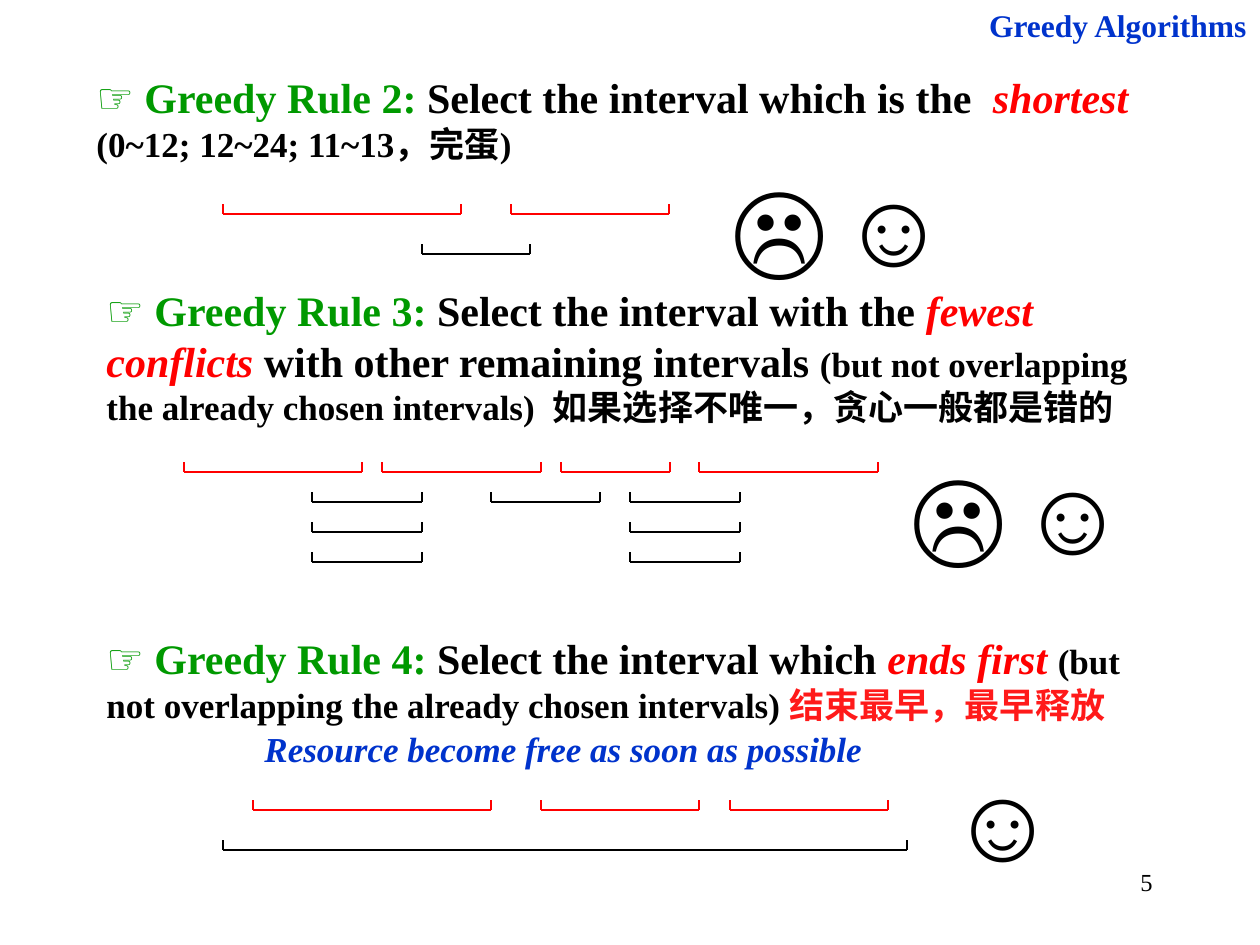
from lxml import etree
from pptx import Presentation
from pptx import util as u
from pptx.dml.color import RGBColor
from pptx.enum import shapes, text
from pptx.oxml.ns import qn

PX = u.Inches(1) / 126
COLORS = {"black": "000000", "red": "FF0000", "green": "009900",
          "blue": "0033CC", "bright red": "FF1A1A"}
SERIF = "Times New Roman"
TICK = 10  # height of the marks at both ends of an interval

# Run formats
BLACK = {"name": SERIF, "size": 24, "bold": True, "color": "black"}
GREEN = {**BLACK, "color": "green"}
HAND = {**GREEN, "name": "Arial"}
KEYWORD = {**BLACK, "color": "red", "italic": True}
SMALL = {**BLACK, "size": 20}
REMARK = {**SMALL, "color": "bright red"}
NOTE = {**SMALL, "color": "blue", "italic": True}
HEADER = {**BLACK, "size": 18, "color": "blue"}
NUMBER = {"name": SERIF, "size": 14, "color": "black"}
FACE = {"name": "Arial", "size": 60, "color": "black"}


def px(value):
    return u.Emu(round(value * PX))


def color(name):
    return RGBColor.from_string(COLORS[name])


def add_text(slide, box, runs, align=text.PP_ALIGN.LEFT,
             anchor=text.MSO_ANCHOR.TOP):
    shape = slide.shapes.add_textbox(*map(px, box))
    frame = shape.text_frame
    frame.word_wrap = True
    frame.auto_size = text.MSO_AUTO_SIZE.SHAPE_TO_FIT_TEXT
    frame.vertical_anchor = anchor
    paragraph = frame.paragraphs[0]
    paragraph.alignment = align
    for words, style in runs:
        run = paragraph.add_run()
        run.text = words
        for key, value in style.items():
            if key == "color":
                run.font.color.rgb = color(value)
            else:
                setattr(run.font, key, u.Pt(value) if key == "size" else value)


def add_line(group, start, end, line_color):
    line = group.shapes.add_connector(
        shapes.MSO_CONNECTOR.STRAIGHT, *map(px, (*start, *end)))
    line.line.color.rgb = color(line_color)
    line.line.width = u.Pt(1.5)
    etree.SubElement(line._element.spPr, qn("a:effectLst"))


def add_intervals(slide, left, top, pitch, rows):
    """Draw rows of intervals; the first row holds the red ones."""
    group = slide.shapes.add_group_shape()
    for index, row in enumerate(rows):
        line_color = "black" if index else "red"
        base = top + TICK + index * pitch
        for start, end in row:
            first, last = left + start, left + end
            add_line(group, (first, base), (last, base), line_color)
            for x in (first, last):
                add_line(group, (x, base), (x, base - TICK), line_color)


def add_rule(slide, box, number, runs, diagram, faces, note=None):
    """Place a rule's statement, its intervals and its verdict faces."""
    left, top, width, height = box
    # Statement
    add_text(slide, box,
             [("☞", HAND), (f" Greedy Rule {number}:", GREEN), *runs],
             anchor=text.MSO_ANCHOR.MIDDLE)
    # Note below the statement, wide enough for one line
    if note:
        add_text(slide, (left + 158, top + 95, 650, 55), [(note, NOTE)])
    # Intervals
    x, y, pitch, rows = diagram
    add_intervals(slide, left + x, top + y, pitch, rows)
    # Faces
    x, y, symbols = faces
    for index, symbol in enumerate(symbols):
        add_text(slide, (left + x + index * 109, top + y, 139, 139),
                 [(symbol, FACE)])


def add_margins(slide, header_box, number_box):
    """Place the running header and the slide number."""
    for box, words, style in ((header_box, "Greedy Algorithms", HEADER),
                              (number_box, "5", NUMBER)):
        add_text(slide, box, [(words, style)], align=text.PP_ALIGN.RIGHT)


def main():
    presentation = Presentation()
    presentation.slide_width = px(1260)
    presentation.slide_height = px(945)
    slide = presentation.slides.add_slide(presentation.slide_layouts[6])

    add_margins(slide, (948, 0, 311, 50), (903, 861, 262, 63))

    add_rule(
        slide, (84, 65, 1062, 106), 2,
        [(" Select the interval which is the  ", BLACK),
         ("shortest ", KEYWORD),
         ("(0~12; 12~24; 11~13，完蛋)", SMALL)],
        (139, 139, 40, [[(0, 238), (288, 446)], [(199, 307)]]),
        (635, 90, "☹☺"))

    left_pair, middle, right_pair = (128, 238), (307, 416), (446, 556)
    add_rule(
        slide, (94, 278, 1062, 156), 3,
        [(" Select the interval with the ", BLACK),
         ("fewest conflicts", KEYWORD),
         (" with other remaining intervals ", BLACK),
         ("(but not overlapping the already chosen intervals)  "
          "如果选择不唯一，贪心一般都是错的", SMALL)],
        (90, 184, 30, [[(0, 178), (198, 357), (377, 486), (515, 694)],
                       [left_pair, middle, right_pair],
                       [left_pair, right_pair],
                       [left_pair, right_pair]]),
        (804, 165, "☹☺"))

    add_rule(
        slide, (94, 626, 1062, 106), 4,
        [(" Select the interval which ", BLACK),
         ("ends first ", KEYWORD),
         ("(but not overlapping the already chosen intervals) ", SMALL),
         ("结束最早，最早释放", REMARK)],
        (129, 174, 40, [[(30, 268), (318, 476), (507, 665)], [(0, 684)]]),
        (843, 124, "☺"),
        note="Resource become free as soon as possible")

    presentation.save("out.pptx")


if __name__ == "__main__":
    main()
